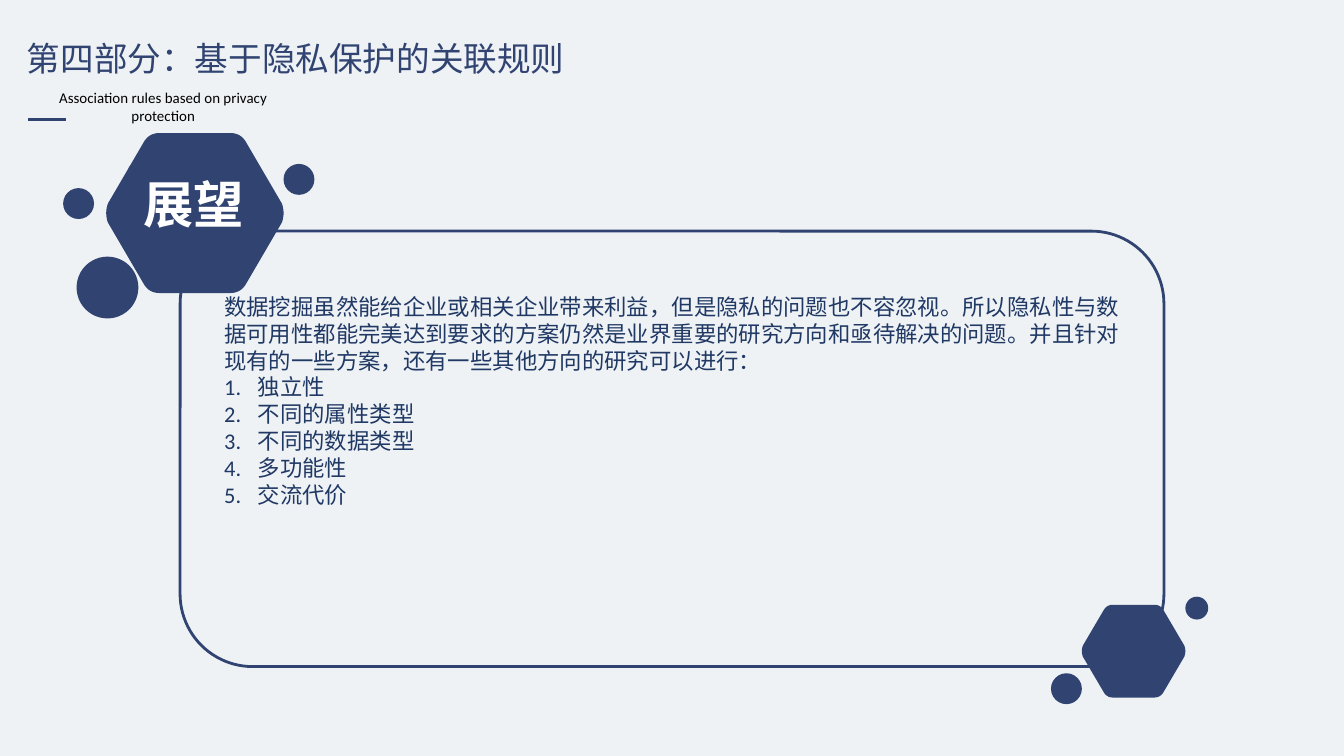
from dataclasses import dataclass

from pptx import Presentation
from pptx.dml.color import RGBColor
from pptx.enum.shapes import MSO_CONNECTOR, MSO_SHAPE
from pptx.enum.text import MSO_ANCHOR, MSO_AUTO_SIZE, PP_ALIGN
from pptx.oxml.ns import qn
from pptx.util import Inches, Pt


@dataclass(frozen=True)
class Theme:
    back: RGBColor = RGBColor.from_string("EEF2F5")
    navy: RGBColor = RGBColor.from_string("304371")
    ink: RGBColor = RGBColor.from_string("203864")
    black: RGBColor = RGBColor.from_string("000000")
    white: RGBColor = RGBColor.from_string("FFFFFF")
    title: int = 18
    note: int = 8
    body: int = 12
    badge: int = 27
    line: float = 1.5
    cjk: str = "Noto Sans CJK SC"
    latin: str = "Calibri"
    narrow: str = "Arial Narrow"


THEME = Theme()
INTRO = ("数据挖掘虽然能给企业或相关企业带来利益，但是隐私的问题也不容忽视。"
         "所以隐私性与数据可用性都能完美达到要求的方案仍然是业界重要的研究方向和亟待解决的问题。"
         "并且针对现有的一些方案，还有一些其他方向的研究可以进行：")
TOPICS = ["独立性", "不同的属性类型", "不同的数据类型", "多功能性", "交流代价"]


def style(para, size, color, face, bold=False, align=PP_ALIGN.LEFT):
    para.alignment = align
    font = para.font
    font.size, font.bold, font.name = Pt(size), bold, face
    font.color.rgb = color
    props = para._p.pPr.find(qn("a:defRPr"))
    east = props.makeelement(qn("a:ea"), {"typeface": face})
    props.find(qn("a:latin")).addnext(east)


def number(para):
    """Give the paragraph an automatic number with a hanging indent."""
    props = para._p.get_or_add_pPr()
    props.set("marL", str(Inches(0.25)))
    props.set("indent", str(-Inches(0.25)))
    for tag, attrs in (("a:buFont", {"typeface": THEME.cjk}),
                       ("a:buAutoNum", {"type": "arabicPeriod"})):
        props.append(props.makeelement(qn(tag), attrs))


def paint(shape):
    shape.shadow.inherit = False
    shape.fill.solid()
    shape.fill.fore_color.rgb = THEME.navy
    shape.line.fill.background()


def add_dot(slide, x, y, size):
    dot = slide.shapes.add_shape(MSO_SHAPE.OVAL, Inches(x), Inches(y),
                                 Inches(size), Inches(size))
    paint(dot)


def add_hexagon(slide, x, y, w, h):
    """Draw a hexagon whose corners are rounded by quadratic curves."""
    top = [(0.7, 0), (0.76, 0), (0.79, 0.06)]
    side = [(0.99, 0.44), (1.01, 0.5), (0.99, 0.56)]

    def mirror(bend, flip_x, flip_y):
        return [(1 - u if flip_x else u, 1 - v if flip_y else v)
                for u, v in bend]

    bends = [top, side, mirror(top, False, True)[::-1], mirror(top, True, True),
             mirror(side, True, True), mirror(top, True, False)[::-1]]
    steps = 8
    points = []
    for start, mid, end in bends:
        for i in range(steps + 1):
            t = i / steps
            u, v = ((1 - t) ** 2 * a + 2 * t * (1 - t) * b + t * t * c
                    for a, b, c in zip(start, mid, end))
            points.append((Inches(x + u * w), Inches(y + v * h)))
    pen = slide.shapes.build_freeform(*points[0])
    pen.add_line_segments(points[1:], close=True)
    paint(pen.convert_to_shape())


def add_header(slide, x, y):
    title = slide.shapes.title
    title.left, title.top = Inches(x), Inches(y)
    title.width, title.height = Inches(4.24), Inches(0.4)
    frame = title.text_frame
    frame.text = "第四部分：基于隐私保护的关联规则"
    frame.word_wrap = False
    frame.auto_size = MSO_AUTO_SIZE.SHAPE_TO_FIT_TEXT
    frame.vertical_anchor = MSO_ANCHOR.TOP
    style(frame.paragraphs[0], THEME.title, THEME.navy, THEME.cjk)

    note = slide.shapes.add_textbox(Inches(x), Inches(y + 0.38),
                                    Inches(2.23), Inches(0.37)).text_frame
    note.word_wrap = True
    note.text = "Association rules based on privacy protection"
    style(note.paragraphs[0], THEME.note, THEME.black, THEME.latin,
          align=PP_ALIGN.CENTER)

    rule = slide.shapes.add_connector(
        MSO_CONNECTOR.STRAIGHT, Inches(x + 0.11), Inches(y + 0.66),
        Inches(x + 0.39), Inches(y + 0.66))
    rule.line.color.rgb = THEME.navy
    rule.line.width = Pt(THEME.line)
    props = rule._element.spPr
    props.append(props.makeelement(qn("a:effectLst"), {}))


def add_panel(slide, x, y, w, h):
    panel = slide.shapes.add_shape(MSO_SHAPE.ROUNDED_RECTANGLE, Inches(x),
                                   Inches(y), Inches(w), Inches(h))
    panel.shadow.inherit = False
    panel.fill.background()
    panel.line.color.rgb = THEME.navy
    panel.line.width = Pt(THEME.line)

    frame = slide.shapes.add_textbox(Inches(x + 0.23), Inches(y + 0.41),
                                     Inches(w - 0.38), Inches(1.72)).text_frame
    frame.word_wrap = True
    frame.text = "\n".join([INTRO, *TOPICS])
    for i, para in enumerate(frame.paragraphs):
        if i:
            number(para)
        style(para, THEME.body, THEME.ink, THEME.latin)


def add_badge(slide, x, y, w, h):
    add_dot(slide, x - 0.22, y + 0.92, 0.46)
    add_dot(slide, x - 0.32, y + 0.41, 0.23)
    add_dot(slide, x + w, y + 0.23, 0.23)
    add_hexagon(slide, x, y, w, h)
    label = slide.shapes.add_shape(MSO_SHAPE.RECTANGLE, Inches(x + 0.17),
                                   Inches(y + 0.25), Inches(0.96), Inches(0.56))
    paint(label)
    frame = label.text_frame
    frame.word_wrap = True
    frame.vertical_anchor = MSO_ANCHOR.TOP
    frame.text = "展望"
    style(frame.paragraphs[0], THEME.badge, THEME.white, THEME.narrow,
          bold=True, align=PP_ALIGN.CENTER)


def add_corner(slide, x, y, w, h):
    add_hexagon(slide, x, y, w, h)
    add_dot(slide, x - 0.23, y + 0.51, 0.23)
    add_dot(slide, x + w, y - 0.06, 0.17)


def main():
    deck = Presentation()
    deck.slide_width = Inches(10)
    deck.slide_height = deck.slide_width * 9 // 16
    slide = deck.slides.add_slide(deck.slide_layouts[5])
    slide.background.fill.solid()
    slide.background.fill.fore_color.rgb = THEME.back
    add_header(slide, 0.1, 0.23)
    add_panel(slide, 1.34, 1.72, 7.32, 3.24)
    add_corner(slide, 8.05, 4.5, 0.77, 0.69)
    add_badge(slide, 0.79, 0.99, 1.32, 1.19)
    deck.save("out.pptx")


if __name__ == "__main__":
    main()
